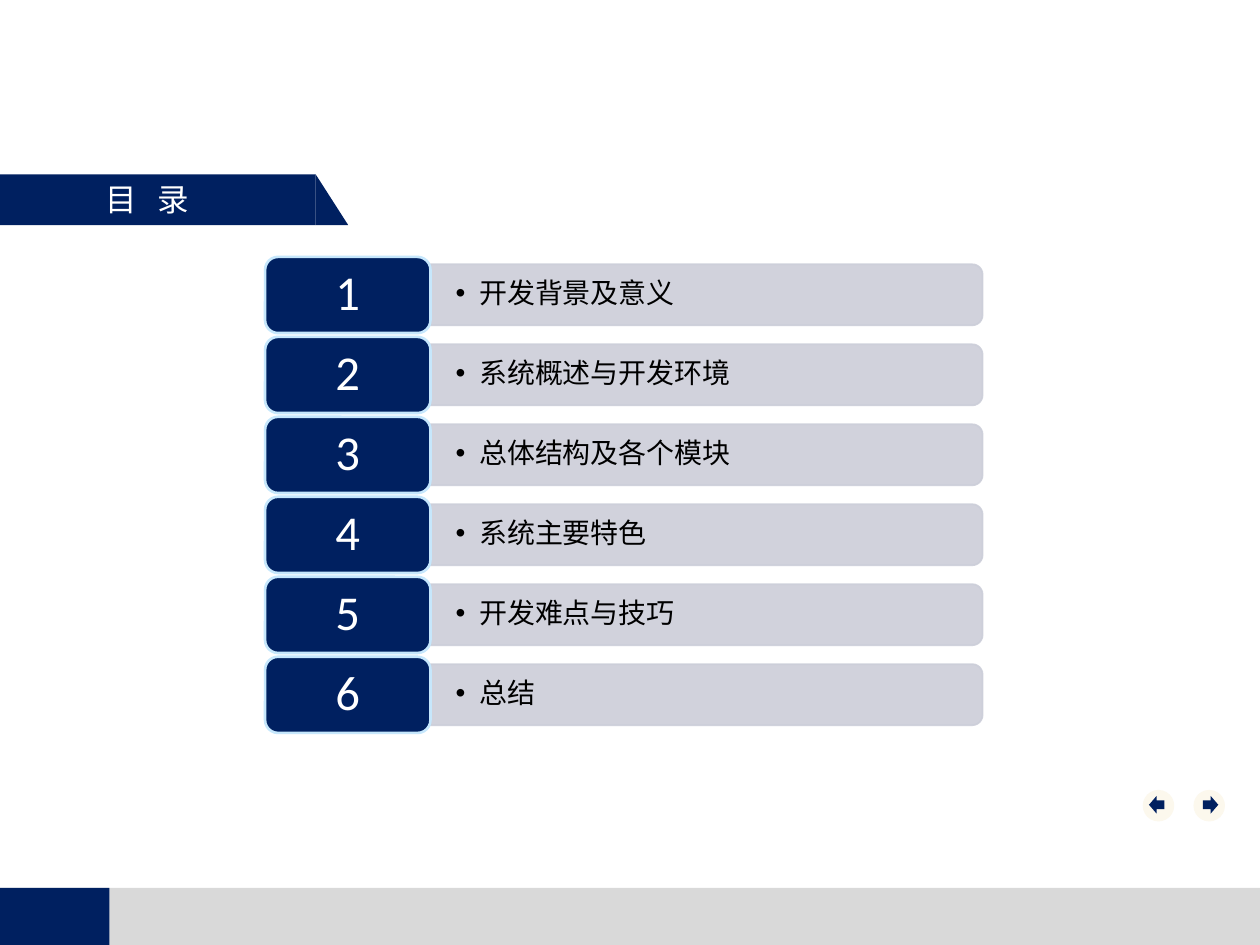
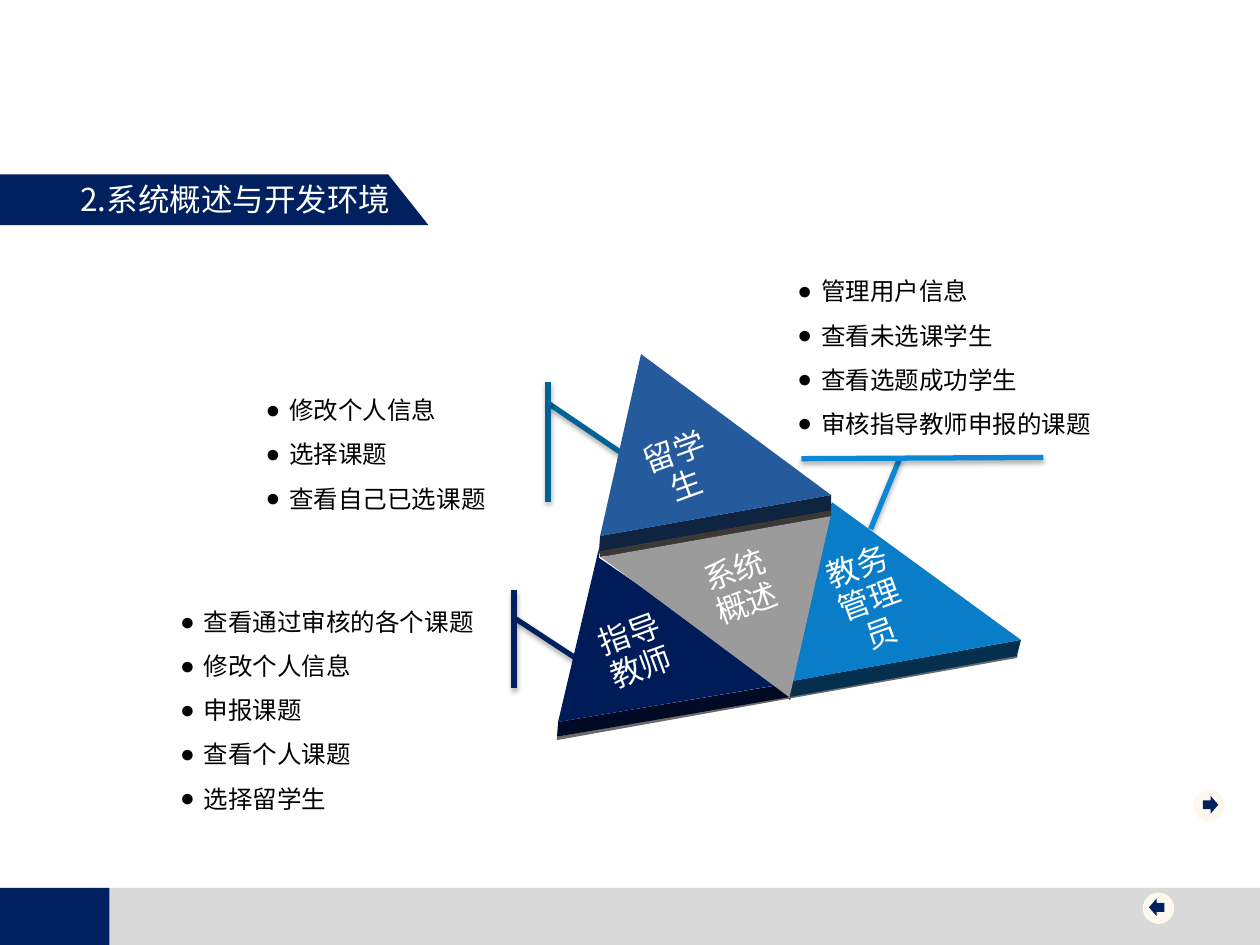
from math import cos, sin, pi

from lxml.etree import SubElement
from pptx import Presentation
from pptx.dml.color import RGBColor
from pptx.enum.shapes import MSO_CONNECTOR, MSO_SHAPE
from pptx.enum.text import MSO_ANCHOR, PP_ALIGN
from pptx.oxml.ns import qn
from pptx.util import Pt

# Content
CONTENTS_TITLE = "目 录"
CHAPTERS = ["开发背景及意义", "系统概述与开发环境", "总体结构及各个模块",
            "系统主要特色", "开发难点与技巧", "总结"]
OVERVIEW_TITLE = "2.系统概述与开发环境"

# Each role: duties, their box (left, top, width, height), colour, two lines
ROLES = [
    (["修改个人信息", "选择课题", "查看自己已选课题"],
     (144.7, 214, 150, 105), "teal",
     [(355.7, 259.2, 313.2, 230.4), (313.2, 218.2, 313.2, 286.6)]),
    (["查看通过审核的各个课题", "修改个人信息", "申报课题", "查看个人课题", "选择留学生"],
     (95.8, 335, 210, 135), "navy",
     [(329.8, 376.6, 294.5, 353.5), (293.8, 337, 293.8, 393.1)]),
    (["管理用户信息", "查看未选课学生", "查看选题成功学生", "审核指导教师申报的课题"],
     (448.6, 146, 204, 131), "blue",
     [(497.5, 302.4, 514.1, 262.1), (596.2, 261.4, 457.9, 262.1)]),
]

# Faces of the pyramid from back to front: colour and corners
FACES = [
    ("gap", [(342, 314), (475.4, 288), (476, 296), (451.5, 400)]),
    ("base", [(318.3, 421), (581.7, 374.5), (581.1, 376), (318.3, 422.9)]),
    ("navy_side", [(318.9, 412.6), (448, 391), (451.4, 398.3), (318.3, 421)]),
    ("navy_face", [(342.1, 314), (342.3, 318.8), (447.5, 391), (318.9, 412.6)]),
    ("blue_side", [(453.1, 389.1), (583.4, 365.7), (581.1, 374.9), (451.4, 398.3)]),
    ("blue_face", [(475.4, 286.9), (583.4, 365.7), (453.1, 389.1)]),
    ("gray_side", [(342.3, 315), (474.9, 291.5), (474.9, 295), (342.9, 318.3)]),
    ("gray", [(343.3, 318.3), (474.6, 295), (451.2, 398.5)]),
    ("top_side", [(342.9, 306.3), (474.9, 282.9), (474.9, 291.5), (342.3, 315)]),
    ("top_face", [(366.3, 202.3), (474.9, 282.9), (342.9, 306.3)]),
]
# Face labels with their centres
FACE_LABELS = [("指导教师", 363, 372), ("教务管理员", 497, 343),
               ("系统概述", 423.5, 335.5), ("留学生", 389, 268)]

# Shared look
COLORS = {
    "navy": "002060", "footer": "D9D9D9", "white": "FFFFFF", "black": "000000",
    "cream": "FCF8ED", "bar": "CCCED9", "edge": "C6E7FC",
    "teal": "016296", "blue": "0B87D6", "gap": "0A0F1E", "base": "6B6B6B",
    "navy_face": "001C58", "navy_side": "000A24", "blue_face": "097DC8",
    "blue_side": "04304E", "gray": "9B9B9B", "gray_side": "3C3836",
    "top_face": "255A9D", "top_side": "0F2440",
}
CJK, LATIN = "Noto Sans CJK SC", "Calibri"
BAND_TOP, BAND_HEIGHT = 99.6, 29


def color(name):
    return RGBColor.from_string(COLORS[name])


def paint(part, fill, edge=None, edge_width=1):
    part.shadow.inherit = False
    part.fill.solid()
    part.fill.fore_color.rgb = color(fill)
    if edge:
        part.line.color.rgb = color(edge)
        part.line.width = Pt(edge_width)
    else:
        part.line.fill.background()
    return part


def add_block(slide, preset, box, fill, **edge):
    return paint(slide.shapes.add_shape(preset, *map(Pt, box)), fill, **edge)


def add_outline(slide, corners, fill, **edge):
    start, *rest = [(Pt(x), Pt(y)) for x, y in corners]
    builder = slide.shapes.build_freeform(*start)
    builder.add_line_segments(rest, close=True)
    return paint(builder.convert_to_shape(), fill, **edge)


def add_textbox(slide, box, wrap=True):
    frame = slide.shapes.add_textbox(*map(Pt, box)).text_frame
    frame.word_wrap = wrap
    return frame


def set_margins(frame, left, top, right, bottom):
    frame.margin_left, frame.margin_top = Pt(left), Pt(top)
    frame.margin_right, frame.margin_bottom = Pt(right), Pt(bottom)
    frame.vertical_anchor = MSO_ANCHOR.MIDDLE


def write(paragraph, text, size, ink, font, align=PP_ALIGN.LEFT, spacing=None):
    paragraph.text = text
    paragraph.alignment = align
    paragraph.line_spacing = spacing
    run = paragraph.runs[0]
    run.font.size = Pt(size)
    run.font.name = font
    run.font.color.rgb = color(ink)
    SubElement(run.font._element, qn("a:ea"), typeface=CJK)
    return run


def add_bullet(paragraph, mark):
    properties = paragraph._p.get_or_add_pPr()
    properties.set("marL", str(Pt(13.5)))
    properties.set("indent", str(-Pt(13.5)))
    SubElement(properties, qn("a:buFont"), typeface="Arial")
    SubElement(properties, qn("a:buChar"), char=mark)


def set_alpha(color_parent, percent):
    for rgb in color_parent.iter(qn("a:srgbClr")):
        SubElement(rgb, qn("a:alpha"), val=str(percent * 1000))


def add_footer(slide):
    add_block(slide, MSO_SHAPE.RECTANGLE, (0, 507.4, 720, 32.6), "footer")
    add_block(slide, MSO_SHAPE.RECTANGLE, (0, 507.4, 62.6, 32.6), "navy")


def add_title(slide, text, text_left, band_width, tip_width):
    add_block(slide, MSO_SHAPE.RECTANGLE, (0, BAND_TOP, band_width, BAND_HEIGHT), "navy")
    add_block(slide, MSO_SHAPE.RIGHT_TRIANGLE,
              (band_width, BAND_TOP, tip_width, BAND_HEIGHT), "navy")
    frame = add_textbox(slide, (text_left, 99.5, band_width + tip_width - text_left, 29), False)
    return write(frame.paragraphs[0], text, 18, "white", CJK)


def add_page_arrow(slide, arrow, left, top, arrow_offset):
    add_block(slide, MSO_SHAPE.OVAL, (left, top, 18, 18), "cream")
    add_block(slide, arrow, (left + arrow_offset, top + 3.4, 8.8, 10.2), "navy")


def add_page_arrows(slide, back_top):
    add_page_arrow(slide, MSO_SHAPE.RIGHT_ARROW, 682, 451.4, 5.4)
    add_page_arrow(slide, MSO_SHAPE.LEFT_ARROW, 653, back_top, 3.6)


def rounded_right(left, top, width, height, radius, steps=6):
    """Corners of a bar whose right end alone is rounded."""
    right, bottom = left + width, top + height
    quarter = [i * pi / 2 / steps for i in range(steps + 1)]
    upper = [(right - radius * (1 - sin(a)), top + radius * (1 - cos(a))) for a in quarter]
    lower = [(x, top + bottom - y) for x, y in reversed(upper)]
    return [(left, top), *upper, *lower, (left, bottom)]


def add_chapter(slide, number, chapter):
    top = 146.8 + (number - 1) * 45.7
    bar = add_outline(slide, rounded_right(246, top + 4.3, 315.5, 34.8, 5.8),
                      "bar", edge="bar")
    set_alpha(bar._element.spPr, 90)
    set_margins(bar.text_frame, 14.4, 9.4, 16.6, 9.4)
    line = bar.text_frame.paragraphs[0]
    write(line, chapter, 16, "black", LATIN, spacing=0.9)
    add_bullet(line, "•")

    tile = add_block(slide, MSO_SHAPE.ROUNDED_RECTANGLE, (151.5, top, 94.5, 43.5),
                     "navy", edge="edge", edge_width=1.5)
    tile.adjustments[0] = 0.17
    set_margins(tile.text_frame, 10.8, 6.5, 10.8, 6.5)
    write(tile.text_frame.paragraphs[0], str(number), 27.8, "white", LATIN,
          PP_ALIGN.CENTER, 0.9)


def add_shadowed_line(slide, ends, ink):
    line = slide.shapes.add_connector(MSO_CONNECTOR.STRAIGHT, *map(Pt, ends))
    line.line.color.rgb = color(ink)
    line.line.width = Pt(3)
    effects = SubElement(line._element.spPr, qn("a:effectLst"))
    shadow = SubElement(effects, qn("a:outerShdw"), blurRad=str(Pt(3.1)),
                        dist=str(Pt(1.8)), dir="5400000", rotWithShape="0")
    SubElement(shadow, qn("a:srgbClr"), val=COLORS["black"])
    set_alpha(shadow, 35)


def add_role(slide, duties, box, ink, lines):
    for ends in lines:
        add_shadowed_line(slide, ends, ink)
    frame = add_textbox(slide, box)
    for i, duty in enumerate(duties):
        paragraph = frame.add_paragraph() if i else frame.paragraphs[0]
        write(paragraph, duty, 14, "black", CJK, spacing=Pt(25.2))
        add_bullet(paragraph, "●")


def add_face_label(slide, text, center_x, center_y, side=67.7):
    label = slide.shapes.add_textbox(Pt(center_x - side / 2), Pt(center_y - side / 2),
                                     Pt(side), Pt(side))
    label.rotation = -20
    label.text_frame.word_wrap = True
    set_margins(label.text_frame, 7.2, 5, 7.2, 5)
    write(label.text_frame.paragraphs[0], text, 18, "white", CJK,
          PP_ALIGN.CENTER, Pt(20))


def build_contents(slide):
    add_footer(slide)
    title = add_title(slide, CONTENTS_TITLE, 53.3, 180.4, 18.6)
    title.font._element.set("spc", "370")
    add_page_arrows(slide, 451.4)
    for number, chapter in enumerate(CHAPTERS, 1):
        add_chapter(slide, number, chapter)


def build_overview(slide):
    add_footer(slide)
    add_title(slide, OVERVIEW_TITLE, 38.9, 221.8, 23)
    for role in ROLES:
        add_role(slide, *role)
    for fill, corners in FACES:
        add_outline(slide, corners, fill)
    for label in FACE_LABELS:
        add_face_label(slide, *label)
    add_page_arrows(slide, 510)


def main():
    deck = Presentation()
    deck.slide_width, deck.slide_height = Pt(720), Pt(540)
    for build in (build_contents, build_overview):
        build(deck.slides.add_slide(deck.slide_layouts[6]))
    deck.save("out.pptx")


if __name__ == "__main__":
    main()
